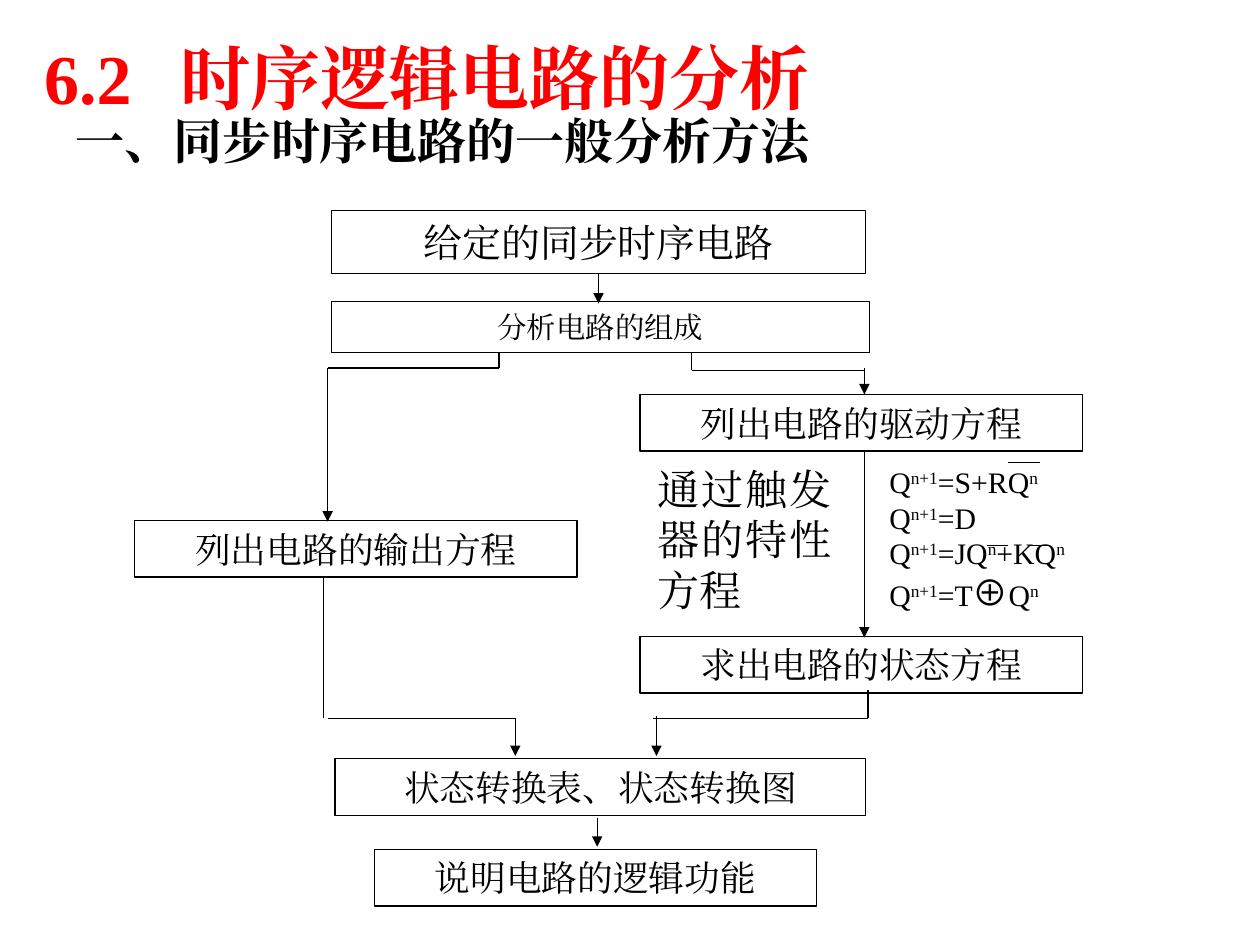
from typing import NamedTuple

from lxml.etree import SubElement
from pptx import Presentation
from pptx.dml.color import RGBColor
from pptx.enum.shapes import MSO_CONNECTOR, MSO_SHAPE
from pptx.enum.text import MSO_ANCHOR, MSO_AUTO_SIZE, PP_ALIGN
from pptx.oxml.ns import qn
from pptx.util import Inches, Pt

LATIN, CJK = "Times New Roman", "Noto Sans CJK SC"
BLACK, WHITE, RED = "000000", "FFFFFF", "FF0000"


class Step(NamedTuple):
    text: str
    left: float
    top: float
    width: float = 3.51
    height: float = 0.45
    size: float = 20.4


class Line(NamedTuple):
    x1: float
    y1: float
    x2: float
    y2: float
    arrow: bool = False


STEPS = [
    Step("给定的同步时序电路", 2.63, 1.67, 4.24, 0.5, 22.2),
    Step("分析电路的组成", 2.63, 2.39, 4.27, 0.41, 16.8),
    Step("列出电路的输出方程", 1.07, 4.13),
    Step("列出电路的驱动方程", 5.08, 3.13),
    Step("状态转换表、状态转换图", 2.66, 6.02, 4.21),
    Step("求出电路的状态方程", 5.08, 5.05),
    Step("说明电路的逻辑功能", 2.97, 6.74),
]

FLOW_LINES = [
    Line(4.75, 2.17, 4.75, 2.41, True),
    Line(4.74, 6.49, 4.74, 6.72, True),
    # Split towards the driving equations
    Line(5.49, 2.8, 5.49, 2.94),
    Line(5.49, 2.94, 6.86, 2.94),
    Line(6.86, 2.92, 6.86, 3.13, True),
    Line(6.86, 3.58, 6.86, 5.06, True),
    # Split towards the output equations
    Line(3.96, 2.8, 3.96, 2.92),
    Line(3.96, 2.92, 2.6, 2.92),
    Line(2.6, 2.92, 2.6, 4.14, True),
    # Both branches join at the state table
    Line(2.57, 4.59, 2.57, 5.7),
    Line(2.6, 5.7, 4.09, 5.7),
    Line(4.09, 5.7, 4.09, 6, True),
    Line(6.89, 5.48, 6.89, 5.7),
    Line(6.89, 5.7, 5.18, 5.7),
    Line(5.21, 5.68, 5.21, 6, True),
]

NOT_BARS = [
    Line(8, 3.67, 8.25, 3.67),
    Line(7.83, 4.33, 8, 4.33),
    Line(8.17, 4.33, 8.33, 4.33),
]

# Each equation is a list of runs; "n" and "n+1" are superscripts
EQUATIONS = [
    ["Q", "n+1", "=S+RQ", "n"],
    ["Q", "n+1", "=D"],
    ["Q", "n+1", "=JQ", "n", "+KQ", "n"],
    ["Q", "n+1", "=T", "⊕", "Q", "n"],
]


def color(value: str) -> RGBColor:
    return RGBColor.from_string(value)


def format_run(run, size: float, value: str = BLACK, bold: bool = False,
               name: str = LATIN) -> None:
    font = run.font
    font.size, font.bold, font.name = Pt(size), bold, name
    font.color.rgb = color(value)
    SubElement(font._element, qn("a:ea"), typeface=name)


def prepare_frame(shape, anchor=MSO_ANCHOR.TOP):
    frame = shape.text_frame
    frame.word_wrap = True
    frame.auto_size = MSO_AUTO_SIZE.NONE
    frame.vertical_anchor = anchor
    return frame


def write(shape, text: str, size: float, align=PP_ALIGN.LEFT, value: str = BLACK,
          bold: bool = False, anchor=MSO_ANCHOR.TOP) -> None:
    frame = prepare_frame(shape, anchor)
    frame.text = text
    paragraph = frame.paragraphs[0]
    paragraph.alignment = align
    for run in paragraph.runs:
        format_run(run, size, value, bold)


def add_text_box(slide, left: float, top: float, width: float, height: float):
    return slide.shapes.add_textbox(
        Inches(left), Inches(top), Inches(width), Inches(height))


def add_title(slide) -> None:
    title = slide.shapes.title
    title.left, title.top = Inches(0.25), Inches(0.22)
    title.width, title.height = Inches(9.08), Inches(0.77)
    write(title, "6.2\t时序逻辑电路的分析", 40, value=RED, bold=True)
    properties = title.text_frame.paragraphs[0]._p.get_or_add_pPr()
    tabs = SubElement(properties, qn("a:tabLst"))
    SubElement(tabs, qn("a:tab"), pos=str(Inches(1.08)), algn="l")


def add_step(slide, step: Step) -> None:
    shape = slide.shapes.add_shape(
        MSO_SHAPE.RECTANGLE, Inches(step.left), Inches(step.top),
        Inches(step.width), Inches(step.height))
    shape.shadow.inherit = False
    shape.fill.solid()
    shape.fill.fore_color.rgb = color(WHITE)
    shape.line.color.rgb = color(BLACK)
    shape.line.width = Pt(0.75)
    write(shape, step.text, step.size, PP_ALIGN.CENTER, anchor=MSO_ANCHOR.MIDDLE)


def add_line(slide, line: Line) -> None:
    connector = slide.shapes.add_connector(
        MSO_CONNECTOR.STRAIGHT, Inches(line.x1), Inches(line.y1),
        Inches(line.x2), Inches(line.y2))
    connector.line.color.rgb = color(BLACK)
    connector.line.width = Pt(0.75)
    if line.arrow:
        SubElement(connector.line._get_or_add_ln(), qn("a:tailEnd"), type="triangle")
    SubElement(connector._element.spPr, qn("a:effectLst"))


def add_equations(slide) -> None:
    frame = prepare_frame(add_text_box(slide, 6.96, 3.63, 2.08, 1.37))
    for index, parts in enumerate(EQUATIONS):
        paragraph = frame.add_paragraph() if index else frame.paragraphs[0]
        paragraph.alignment = PP_ALIGN.JUSTIFY
        for part in parts:
            run = paragraph.add_run()
            run.text = part
            if part == "⊕":
                format_run(run, 20.4, name=CJK)
            else:
                format_run(run, 17)
            if part in ("n", "n+1"):
                run.font._element.set("baseline", "30000")


def main() -> None:
    presentation = Presentation()
    presentation.slide_width, presentation.slide_height = Inches(10), Inches(7.5)
    slide = presentation.slides.add_slide(presentation.slide_layouts[5])
    add_title(slide)
    write(add_text_box(slide, 0.5, 0.83, 7.83, 0.57),
          "一、同步时序电路的一般分析方法", 28, bold=True)
    for step in STEPS:
        add_step(slide, step)
    write(add_text_box(slide, 5.12, 3.63, 1.58, 1.34),
          "通过触发器的特性方程", 24, PP_ALIGN.JUSTIFY)
    add_equations(slide)
    for line in FLOW_LINES + NOT_BARS:
        add_line(slide, line)
    presentation.save("out.pptx")


if __name__ == "__main__":
    main()
